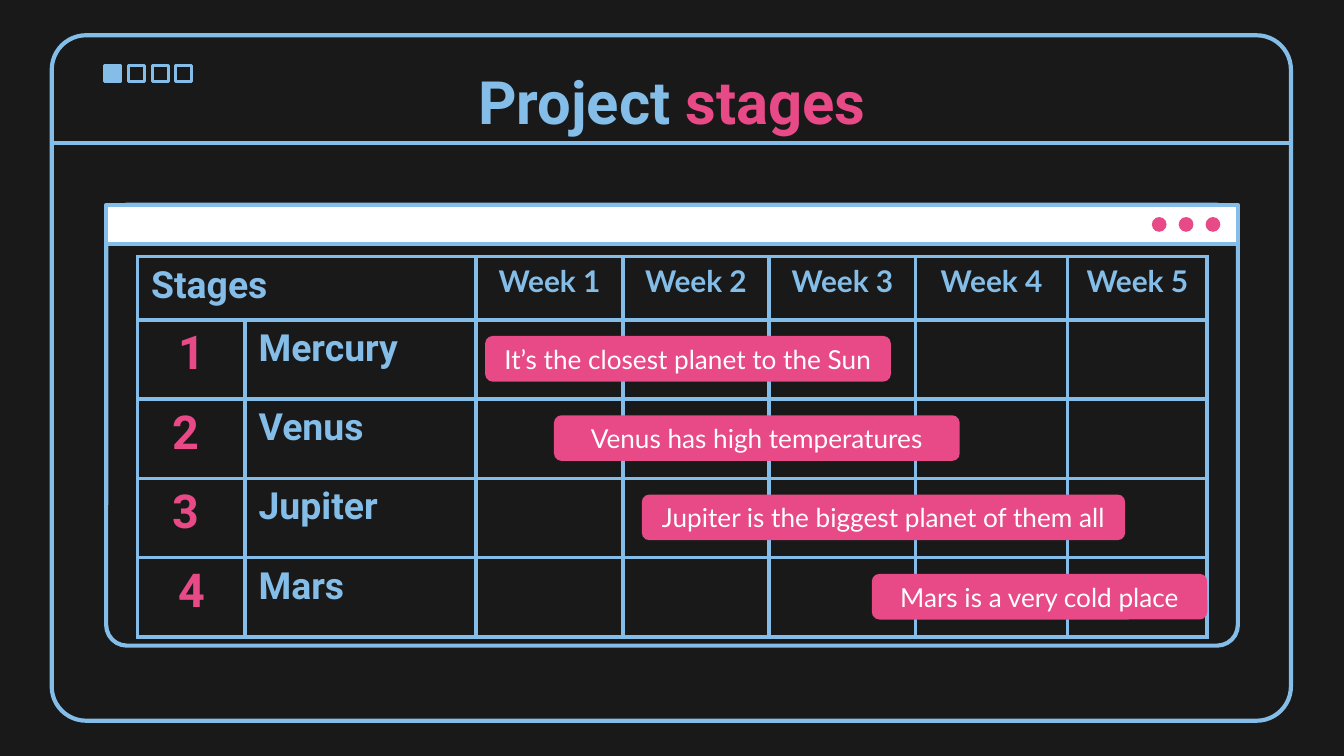
import pptx
import pptx.util
import pptx.dml.color
import pptx.enum.shapes
import pptx.enum.text
import pptx.oxml
import pptx.oxml.ns
import lxml.etree

Pt = pptx.util.Pt
RGB = pptx.dml.color.RGBColor
KIND = pptx.enum.shapes.MSO_SHAPE
MID = pptx.enum.text.PP_ALIGN.CENTER
ANCHOR = pptx.enum.text.MSO_ANCHOR

DARK = RGB(0x19, 0x19, 0x19)
BLUE = RGB(0x84, 0xBD, 0xE7)
PINK = RGB(0xE8, 0x49, 0x87)
WHITE = RGB(0xFF, 0xFF, 0xFF)

# Slide of 16 to 9
deck = pptx.Presentation()
deck.slide_width = pptx.util.Inches(10)
deck.slide_height = deck.slide_width * 9 // 16
slide = deck.slides.add_slide(deck.slide_layouts[6])
slide.background.fill.solid()
slide.background.fill.fore_color.rgb = DARK
shapes = slide.shapes

# Grid of square units: 100 columns across the slide
unit = deck.slide_width / 100


def draw(kind, x, y, w, h, fill=None, line=None, round=None):
    shape = shapes.add_shape(kind, *[int(n * unit) for n in (x, y, w, h)])
    shape.shadow.inherit = False
    if fill is None:
        shape.fill.background()
    else:
        shape.fill.solid()
        shape.fill.fore_color.rgb = fill
    if line is None:
        shape.line.fill.background()
    else:
        shape.line.color.rgb = BLUE
        shape.line.width = Pt(line)
    if round is not None:
        shape.adjustments[0] = round
    return shape


def write(par, text, face, size, color, bold=False, align=None):
    par.text = text
    par.alignment = align
    font = par.font
    font.name, font.size, font.bold = face, Pt(size), bold
    font.color.rgb = color


# Outer frame with its rule
draw(KIND.ROUNDED_RECTANGLE, 3.85, 2.63, 92.2, 51, line=2.25, round=0.05)
rule = shapes.add_connector(
    pptx.enum.shapes.MSO_CONNECTOR.STRAIGHT,
    *[int(n * unit) for n in (3.7, 10.64, 96.2, 10.64)])
rule.line.color.rgb = BLUE
rule.line.width = Pt(2.25)
lxml.etree.SubElement(rule._element.spPr, pptx.oxml.ns.qn("a:effectLst"))

# Four small squares, the first one filled
for i in range(4):
    draw(KIND.RECTANGLE, 7.8 + 1.76 * i, 4.87, 1.2, 1.2,
         fill=None if i else BLUE, line=1.5)

# Inner window: body, bar and dots
draw(KIND.ROUNDED_RECTANGLE, 7.9, 15.24, 84.2, 32.8, line=2.25, round=0.047)
draw(KIND.RECTANGLE, 7.9, 15.24, 84.2, 2.9, fill=WHITE, line=2.25)
for i in range(3):
    draw(KIND.OVAL, 85.7 + 2 * i, 16.15, 1.1, 1.1, fill=PINK)

# Table size
cols = [8, 17.2, 10.9, 10.9, 10.9, 11.3, 10.4]
rows = [4.7] + [5.9] * 4
left, top = 10.24, 19.1
table = shapes.add_table(
    len(rows), len(cols),
    *[int(n * unit) for n in (left, top, sum(cols), sum(rows))]).table
table.first_row = table.horz_banding = False
for col, w in zip(table.columns, cols):
    col.width = int(w * unit)
for row, h in zip(table.rows, rows):
    row.height = int(h * unit)

# Cell borders
for cell in table.iter_cells():
    props = cell._tc.get_or_add_tcPr()
    for side in ("lnL", "lnR", "lnT", "lnB"):
        props.append(pptx.oxml.parse_xml(
            f'<a:{side} {pptx.oxml.ns.nsdecls("a")} w="{Pt(2.21)}">'
            f'<a:solidFill><a:srgbClr val="{BLUE}"/></a:solidFill></a:{side}>'))
    cell.fill.background()

# Header row
table.cell(0, 0).merge(table.cell(0, 1))
write(table.cell(0, 0).text_frame.paragraphs[0],
      "Stages", "Roboto", 20, BLUE, True)
for i in range(1, 6):
    write(table.cell(0, i + 1).text_frame.paragraphs[0],
          f"Week {i}", "Lato", 16, BLUE, True, MID)

# Stages with their bars: start and length in week columns
weeks = left + cols[0] + cols[1]
stages = [
    ("1", "Mercury", "It’s the closest planet to the Sun", 0.06, 2.77),
    ("2 ", "Venus", "Venus has high temperatures", 0.53, 2.77),
    ("3 ", "Jupiter", "Jupiter is the biggest planet of them all", 1.13, 3.3),
    ("4", "Mars", "Mars is a very cold place", 2.7, 2.29),
]
for i, (num, name, note, start, span) in enumerate(stages):
    write(table.cell(i + 1, 0).text_frame.paragraphs[0],
          num, "Roboto", 25, PINK, True, MID)
    write(table.cell(i + 1, 1).text_frame.paragraphs[0],
          name, "Roboto", 20, BLUE, True)
    bar = draw(KIND.ROUNDED_RECTANGLE, weeks + start * cols[2],
               top + rows[0] + rows[1] * i + 1.2, span * cols[2], 3.4,
               fill=PINK, round=0.167)
    frame = bar.text_frame
    frame.word_wrap = True
    frame.vertical_anchor = ANCHOR.MIDDLE
    frame.margin_top = frame.margin_bottom = int(unit)
    write(frame.paragraphs[0], note, "Lato", 14, WHITE, align=MID)

# Title
title = shapes.add_textbox(*[int(n * unit) for n in (7.9, 4.87, 84.2, 6.3)])
frame = title.text_frame
frame.word_wrap = True
frame.vertical_anchor = ANCHOR.BOTTOM
frame.margin_top = frame.margin_bottom = int(unit)
head = frame.paragraphs[0]
write(head, "Project ", "Roboto", 32, BLUE, True, MID)
last = head.add_run()
last.text = "stages"
last.font.color.rgb = PINK

deck.save("out.pptx")
